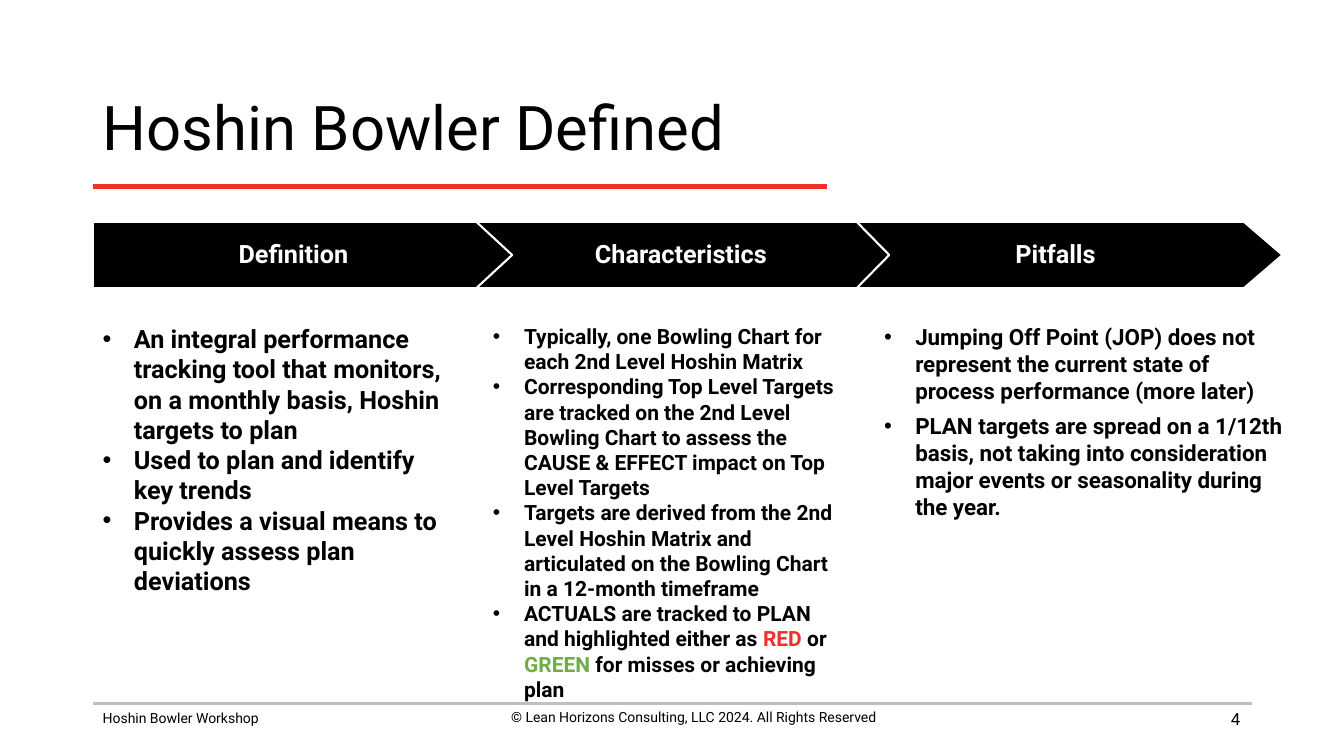
from lxml import etree
from pptx import Presentation
from pptx import util as u
from pptx.dml.color import RGBColor
from pptx.enum import shapes, text
from pptx.oxml.ns import qn

BLACK = RGBColor(0x00, 0x00, 0x00)
WHITE = RGBColor(0xFF, 0xFF, 0xFF)
RED = RGBColor(0xEE, 0x32, 0x28)
GREEN = RGBColor(0x70, 0xAD, 0x47)
GREY = RGBColor(0xBF, 0xBF, 0xBF)
PX = 9144
LEFT = 92


def px(*lengths):
    return [u.Emu(length * PX) for length in lengths]


def write(paragraph, runs, size, bold=False, color=BLACK):
    for wording, run_color in runs:
        run = paragraph.add_run()
        run.text = wording
        style = {"name": "Roboto", "size": u.Pt(size), "bold": bold}
        for key, value in style.items():
            setattr(run.font, key, value)
        run.font.color.rgb = run_color or color


deck = Presentation()
deck.slide_width, deck.slide_height = px(1333, 750)
slide = deck.slides.add_slide(deck.slide_layouts[5])

for right, y, color, weight in [(1242, 698, GREY, 2), (820, 185, RED, 3)]:
    rule = slide.shapes.add_connector(
        shapes.MSO_CONNECTOR.STRAIGHT, *px(LEFT, y, right, y))
    rule.line.color.rgb = color
    rule.line.width = u.Pt(weight)
    etree.SubElement(rule._element.spPr, qn("a:effectLst"))

footers = [
    ("Hoshin Bowler Workshop", (LEFT, 699, 456, 27), 10,
     text.PP_ALIGN.LEFT, text.MSO_ANCHOR.TOP),
    ("© Lean Horizons Consulting, LLC 2024. All Rights Reserved",
     (460, 698, 456, 44), 10, text.PP_ALIGN.CENTER, text.MSO_ANCHOR.TOP),
    ("4", (940, 693, 300, 40), 12,
     text.PP_ALIGN.RIGHT, text.MSO_ANCHOR.MIDDLE),
]
for wording, place, size, align, anchor in footers:
    footer = slide.shapes.add_textbox(*px(*place)).text_frame
    footer.word_wrap = True
    footer.vertical_anchor = anchor
    footer.paragraphs[0].alignment = align
    write(footer.paragraphs[0], [(wording, None)], size)

title = slide.shapes.title
title.left, title.top, title.width, title.height = px(LEFT, 74, 1150, 110)
title_frame = title.text_frame
title_frame.auto_size = text.MSO_AUTO_SIZE.NONE
title_frame.vertical_anchor = text.MSO_ANCHOR.MIDDLE
heading = title_frame.paragraphs[0]
heading.alignment = text.PP_ALIGN.LEFT
heading.line_spacing = 0.9
write(heading, [("Hoshin Bowler Defined", None)], 44)

banner = slide.shapes.add_group_shape()
stages = [
    ("Pitfalls", 841, 431, 0.58, 0),
    ("Characteristics", 466, 416, 0.49, 19),
    ("Definition", LEFT, 416, 0.54, 0),
]
for label, left, width, point, indent in stages:
    stage = banner.shapes.add_shape(
        shapes.MSO_SHAPE.PENTAGON, *px(left, 220, width, 66))
    stage.adjustments[0] = point
    stage.shadow.inherit = False
    stage.fill.solid()
    stage.fill.fore_color.rgb = BLACK
    stage.line.color.rgb = WHITE
    stage.line.width = u.Pt(1.5)
    frame = stage.text_frame
    frame.word_wrap = True
    frame.vertical_anchor = text.MSO_ANCHOR.MIDDLE
    for side in ("left", "top", "right", "bottom"):
        setattr(frame, f"margin_{side}", u.Emu(5 * PX))
    caption = frame.paragraphs[0]
    caption.alignment = text.PP_ALIGN.CENTER
    caption.line_spacing = 0.95
    caption._p.get_or_add_pPr().set("marL", str(indent * PX))
    write(caption, [(label, None)], 18, True, WHITE)

definition = [
    [("An integral performance tracking tool that monitors, on a monthly "
      "basis, Hoshin targets to plan", None)],
    [("Used to plan and identify key trends", None)],
    [("Provides a visual means to quickly assess plan deviations", None)],
]
characteristics = [
    [("Typically, one Bowling Chart for each 2nd Level Hoshin Matrix", None)],
    [("Corresponding Top Level Targets are tracked on the 2nd Level Bowling "
      "Chart to assess the CAUSE & EFFECT impact on Top Level Targets", None)],
    [("Targets are derived from the 2nd Level Hoshin Matrix and articulated "
      "on the Bowling Chart in a 12-month timeframe", None)],
    [("ACTUALS are tracked to PLAN and highlighted either as ", None),
     ("RED", RED), (" or ", None), ("GREEN", GREEN),
     (" for misses or achieving plan", None)],
]
pitfalls = [
    [("Jumping Off Point (JOP) does not represent the current state of "
      "process performance (more later)", None)],
    [("PLAN targets are spread on a 1/12th basis, not taking into "
      "consideration major events or seasonality during the year.", None)],
]
columns = [
    (definition, LEFT, 374, 283, 18, 0),
    (characteristics, 479, 374, 389, 15, 0),
    (pitfalls, 867, 416, 207, 16, 6),
]
for points, left, width, height, size, gap in columns:
    column = slide.shapes.add_textbox(*px(left, 316, width, height)).text_frame
    column.word_wrap = True
    for number, runs in enumerate(points):
        point = column.add_paragraph() if number else column.paragraphs[0]
        properties = point._p.get_or_add_pPr()
        properties.set("marL", str(31 * PX))
        properties.set("indent", str(-31 * PX))
        etree.SubElement(properties, qn("a:buFont"), typeface="Arial")
        etree.SubElement(properties, qn("a:buChar"), char="•")
        if number:
            point.space_before = u.Pt(gap)
        write(point, runs, size, True)

deck.save("out.pptx")
